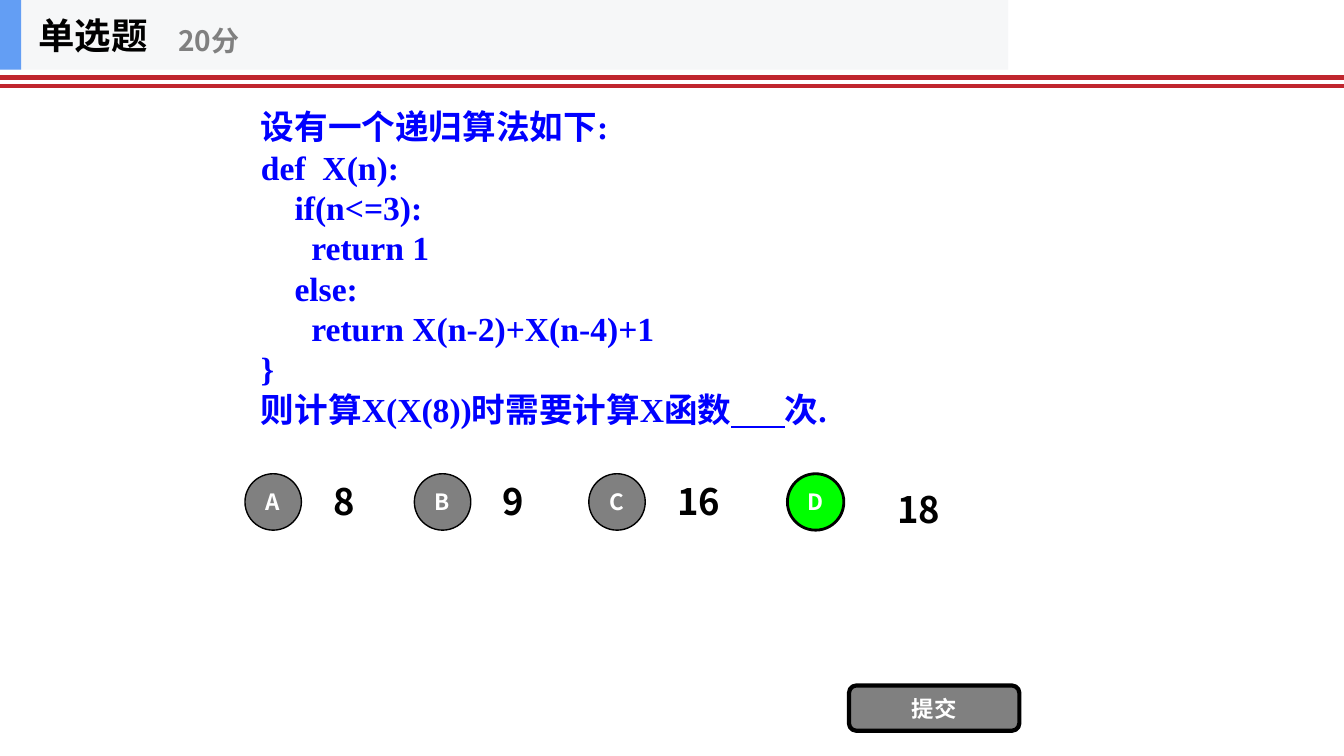
from lxml.etree import SubElement
from pptx import Presentation
from pptx.dml.color import RGBColor
from pptx.enum.shapes import MSO_CONNECTOR, MSO_SHAPE
from pptx.enum.text import MSO_ANCHOR, PP_ALIGN
from pptx.oxml.ns import qn
from pptx.util import Inches, Pt

COLORS = {
    "rule": "C0262E", "bar": "F6F7F8", "accent": "639EF4", "question": "0000FF",
    "gray": "808080", "correct": "00FF00", "black": "000000", "white": "FFFFFF",
}
SANS = "Noto Sans CJK SC"
SERIF = "Times New Roman"

TITLE = "单选题"
SCORE = "20分"
SUBMIT = "提交"
BLANK = "       "
QUESTION = [
    ["设有一个递归算法如下:"],
    ["def  X(n):"],
    ["    if(n<=3):"],
    ["\treturn 1"],
    ["    else:"],
    ["\treturn X(n-2)+X(n-4)+1"],
    ["}"],
    ["则计算X(X(8))时需要计算X函数", BLANK, "次."],
]
OPTIONS = [
    ("A", 2.43, "8", 3.21, 4.62, "gray", 1),
    ("B", 4.11, "9", 4.89, 4.62, "gray", 1),
    ("C", 5.84, "16", 6.62, 4.62, "gray", 1),
    ("D", 7.81, "18", 8.8, 4.7, "correct", 2),
]
RULE_TOPS = [0.77, 0.85]


def color(name):
    return RGBColor.from_string(COLORS[name])


def write(shape, lines, size, ink, font=SANS, align=PP_ALIGN.LEFT, wrap=True, spacing=None):
    frame = shape.text_frame
    frame.word_wrap = wrap
    frame.vertical_anchor = MSO_ANCHOR.MIDDLE
    for index, spans in enumerate(lines):
        para = frame.add_paragraph() if index else frame.paragraphs[0]
        para.alignment = align
        para.line_spacing = spacing
        para.font.name = font
        para.font.size = Pt(size)
        para.font.bold = True
        para.font.color.rgb = color(ink)
        for text in spans:
            span = para.add_run()
            span.text = text
            if text == BLANK:
                span.font.underline = True
            SubElement(span.font._element, qn("a:ea")).set("typeface", SANS)


def add_text(page, place, lines, size, ink, **style):
    box = page.shapes.add_textbox(*map(Inches, place))
    write(box, lines, size, ink, **style)


def add_block(page, kind, place, fill, border=None):
    block = page.shapes.add_shape(kind, *map(Inches, place))
    block.shadow.inherit = False
    block.fill.solid()
    block.fill.fore_color.rgb = color(fill)
    if border:
        block.line.color.rgb = color("black")
        block.line.width = Pt(border)
    else:
        block.line.fill.background()
    return block


def add_button(page, kind, place, fill, border, label):
    button = add_block(page, kind, place, fill, border)
    frame = button.text_frame
    frame.margin_left = frame.margin_right = frame.margin_top = frame.margin_bottom = 0
    write(button, [[label]], 16, "white", align=PP_ALIGN.CENTER)
    return button


def add_rule(page, top, width):
    rule = page.shapes.add_connector(
        MSO_CONNECTOR.STRAIGHT, 0, Inches(top), width, Inches(top))
    rule.line.color.rgb = color("rule")
    rule.line.width = Pt(3)
    SubElement(rule._element.spPr, qn("a:effectLst"))


def add_header(page):
    add_block(page, MSO_SHAPE.RECTANGLE, (0, 0, 10, 0.69), "bar")
    add_block(page, MSO_SHAPE.RECTANGLE, (0, 0, 0.21, 0.69), "accent")
    title = page.shapes.title
    title.left, title.top, title.width, title.height = map(Inches, (0.28, 0, 2.08, 0.69))
    write(title, [[TITLE]], 26, "black", wrap=False)
    page.shapes._spTree.append(title._element)
    add_text(page, (1.67, 0.12, 2.5, 0.56), [[SCORE]], 20, "gray", wrap=False)


def main():
    deck = Presentation()
    deck.slide_width, deck.slide_height = Inches(13.33), Inches(7.5)
    page = deck.slides.add_slide(deck.slide_layouts[5])
    for top in RULE_TOPS:
        add_rule(page, top, deck.slide_width)
    add_text(page, (2.49, 1, 8.6, 3.31), QUESTION, 24, "question",
             font=SERIF, spacing=Pt(28.8))
    for letter, left, answer, answer_left, answer_top, fill, border in OPTIONS:
        add_text(page, (answer_left, answer_top, 0.72, 0.7), [[answer]], 26, "black")
        add_button(page, MSO_SHAPE.OVAL, (left, 4.7, 0.56, 0.56), fill, border, letter)
    add_button(page, MSO_SHAPE.ROUNDED_RECTANGLE, (8.42, 6.8, 1.69, 0.45), "gray", 3, SUBMIT)
    add_header(page)
    deck.save("out.pptx")


if __name__ == "__main__":
    main()
